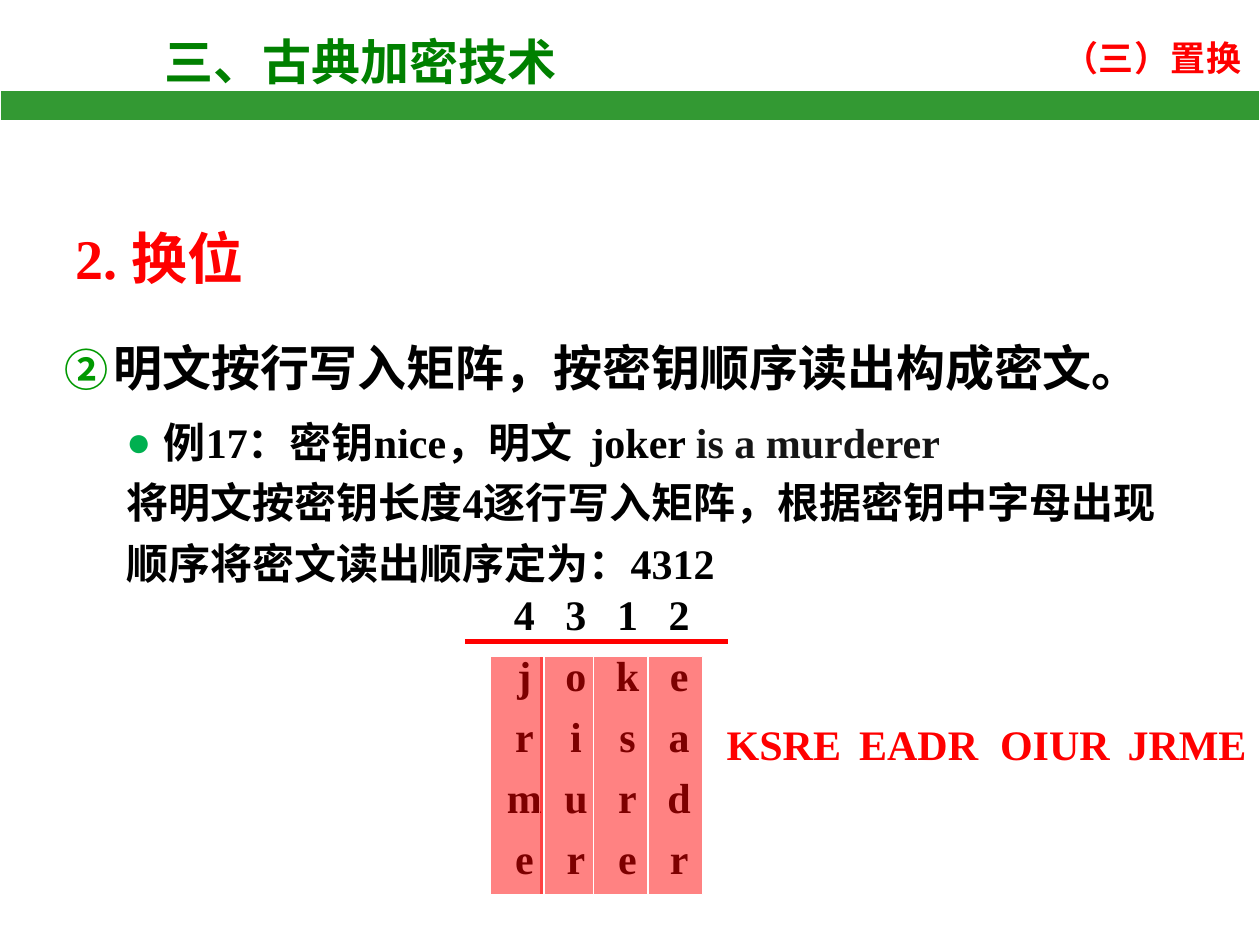
from lxml import etree
from pptx import Presentation
from pptx.dml.color import RGBColor
from pptx.enum.shapes import MSO_CONNECTOR as Connector, MSO_SHAPE as Shape
from pptx.enum.text import MSO_ANCHOR as Anchor, MSO_AUTO_SIZE as AutoSize, PP_ALIGN as Align
from pptx.oxml.ns import qn
from pptx.util import Cm, Pt

GREEN = RGBColor(0x00, 0x80, 0x00)
BAR_GREEN = RGBColor(0x33, 0x99, 0x33)
NUMBER_GREEN = RGBColor(0x00, 0x99, 0x00)
BULLET_GREEN = RGBColor(0x00, 0xB0, 0x50)
RED = RGBColor(0xFF, 0x00, 0x00)
BLACK = RGBColor(0x00, 0x00, 0x00)
NEAR_BLACK = RGBColor(0x16, 0x16, 0x16)
WHITE = RGBColor(0xFF, 0xFF, 0xFF)
SANS = "Noto Sans CJK SC"
SERIF = "Times New Roman"


def place(part, left, top, width, height):
    part.left, part.top = Cm(left), Cm(top)
    part.width, part.height = Cm(width), Cm(height)


def add_run(paragraph, text, size, color, font=SERIF, tracking=0.0):
    run = paragraph.add_run()
    run.text = text
    run.font.size = Pt(size)
    run.font.bold = True
    run.font.name = font
    run.font.color.rgb = color
    east_asian = etree.SubElement(run.font._element, qn("a:ea"))
    east_asian.set("typeface", SANS)
    if tracking:
        run.font._element.set("spc", str(int(tracking * 100)))


def add_label(slide, box, text, size, font=SERIF, tracking=0.0):
    label = slide.shapes.add_textbox(*map(Cm, box))
    label.text_frame.word_wrap = False
    add_run(label.text_frame.paragraphs[0], text, size, RED, font, tracking)


def add_block(slide, box, color):
    block = slide.shapes.add_shape(Shape.RECTANGLE, *map(Cm, box))
    block.shadow.inherit = False
    block.fill.solid()
    block.fill.fore_color.rgb = color
    block.line.color.rgb = WHITE
    block.line.width = Pt(0.75)
    return block


def set_indent(paragraph, left, hanging=0.0):
    props = paragraph._p.get_or_add_pPr()
    props.set("marL", str(Cm(left)))
    props.set("indent", str(Cm(-hanging)))
    return props


def add_bullet(props, tag, color, percent=100, **attributes):
    bullet_color = etree.SubElement(props, qn("a:buClr"))
    etree.SubElement(bullet_color, qn("a:srgbClr")).set("val", str(color))
    etree.SubElement(props, qn("a:buSzPct")).set("val", str(percent * 1000))
    etree.SubElement(props, qn(tag), attributes)


def remove_bullet(props):
    etree.SubElement(props, qn("a:buNone"))


def set_spacing(paragraph, before=0, lines=1.2):
    paragraph.alignment = Align.LEFT
    paragraph.space_before = Pt(before)
    paragraph.space_after = Pt(0)
    paragraph.line_spacing = lines


def build_header(slide, left, top, width):
    title = slide.shapes.title
    place(title, left + 3.07, top + 0.51, 11.35, 1.45)
    frame = title.text_frame
    frame.auto_size = AutoSize.NONE
    frame.vertical_anchor = Anchor.MIDDLE
    set_spacing(frame.paragraphs[0], lines=1.0)
    add_run(frame.paragraphs[0], "三、古典加密技术", 28, GREEN, SANS)

    add_label(slide, (left + 21.18, top + 0.61, 4.19, 1.12), "（三）置换", 20, SANS, 0.5)
    add_block(slide, (left, top + 1.83, width, 0.61), BAR_GREEN)


def build_heading(heading, box):
    place(heading, *box)
    frame = heading.text_frame
    frame.auto_size = AutoSize.NONE
    paragraph = frame.paragraphs[0]
    remove_bullet(set_indent(paragraph, 0))
    set_spacing(paragraph)
    add_run(paragraph, "2. 换位", 32, RED)


def build_explanation(explanation, box):
    place(explanation, *box)
    frame = explanation.text_frame
    frame.auto_size = AutoSize.NONE
    frame.margin_right = Cm(0.5)

    rule = frame.paragraphs[0]
    add_bullet(set_indent(rule, 0.99, 0.99), "a:buAutoNum", NUMBER_GREEN, 90,
               type="circleNumDbPlain", startAt="2")
    set_spacing(rule)
    add_run(rule, "明文按行写入矩阵，按密钥顺序读出构成密文。", 28, BLACK)

    example = frame.add_paragraph()
    example.level = 1
    add_bullet(set_indent(example, 2.01, 0.76), "a:buChar", BULLET_GREEN, char="●")
    set_spacing(example, 6)
    add_run(example, "例17：密钥nice，明文", 24, BLACK)
    add_run(example, " ", 24, BLACK, tracking=5)
    add_run(example, "joker ", 24, BLACK)
    add_run(example, "is a murderer", 24, NEAR_BLACK)

    method = frame.add_paragraph()
    method.level = 1
    remove_bullet(set_indent(method, 1.26))
    set_spacing(method)
    add_run(method, "将明文按密钥长度4逐行写入矩阵，根据密钥中字母出现顺序将密文读出顺序定为：4312", 24, BLACK)


def build_matrix(slide, left, top):
    rows = ("4312", "joke", "risa", "murd", "erer")
    column_width, row_height = 1.04, 1.23
    matrix = slide.shapes.add_table(
        len(rows), 4, Cm(left + 0.68), Cm(top - 1.13),
        Cm(4 * column_width), Cm(len(rows) * row_height)).table
    matrix.first_row = matrix.horz_banding = False
    for row, letters in zip(matrix.rows, rows):
        row.height = Cm(row_height)
        for cell, letter in zip(row.cells, letters):
            cell.fill.background()
            cell.vertical_anchor = Anchor.MIDDLE
            cell.margin_left = cell.margin_right = cell.margin_top = cell.margin_bottom = 0
            paragraph = cell.text_frame.paragraphs[0]
            paragraph.alignment = Align.CENTER
            add_run(paragraph, letter, 24, BLACK)

    rule = slide.shapes.add_connector(
        Connector.STRAIGHT, Cm(left), Cm(top), Cm(left + 5.31), Cm(top))
    rule.line.color.rgb = RED
    rule.line.width = Pt(3)
    etree.SubElement(rule._element.spPr, qn("a:effectLst"))

    for offset in (2.59, 3.71, 1.5, 0.51):
        column = add_block(slide, (left + offset, top + 0.3, 1.09, 4.8), RED)
        color = column.fill._xPr.find(qn("a:solidFill"))[0]
        etree.SubElement(color, qn("a:alpha")).set("val", "49000")


def build_ciphertext(slide, left, top):
    groups = (("KSRE", 0, 2.84), ("EADR", 2.67, 2.95), ("OIUR", 5.51, 2.74), ("JRME", 8.08, 2.95))
    for letters, offset, width in groups:
        add_label(slide, (left + offset, top, width, 1.27), letters, 24)


def main():
    deck = Presentation()
    deck.slide_width, deck.slide_height = Cm(25.4), Cm(19.05)
    slide = deck.slides.add_slide(deck.slide_layouts[3])
    build_header(slide, 0, 0, 25.4)
    build_heading(slide.placeholders[1], (1.27, 4.11, 22.86, 13.41))
    build_explanation(slide.placeholders[2], (1.04, 6.43, 22.86, 12.6))
    build_matrix(slide, 9.37, 12.93)
    build_ciphertext(slide, 14.4, 14.35)
    deck.save("out.pptx")


if __name__ == "__main__":
    main()
